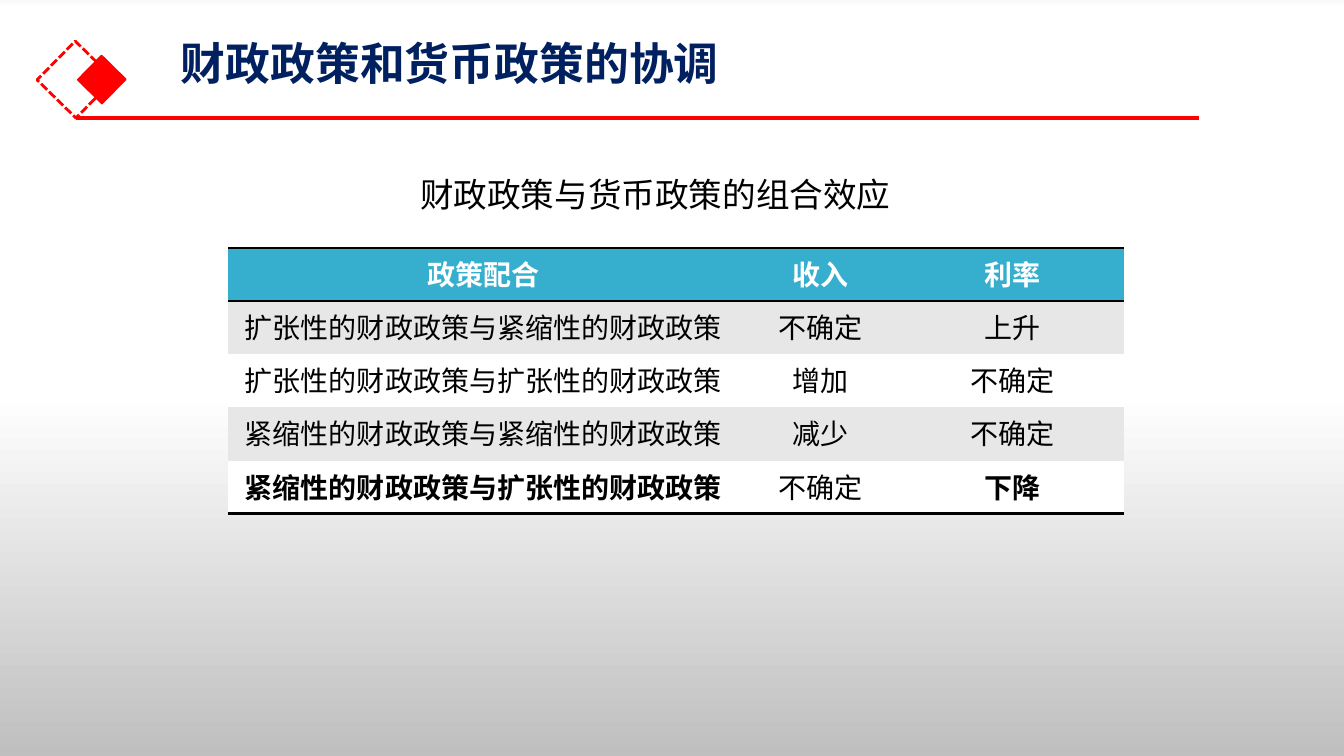
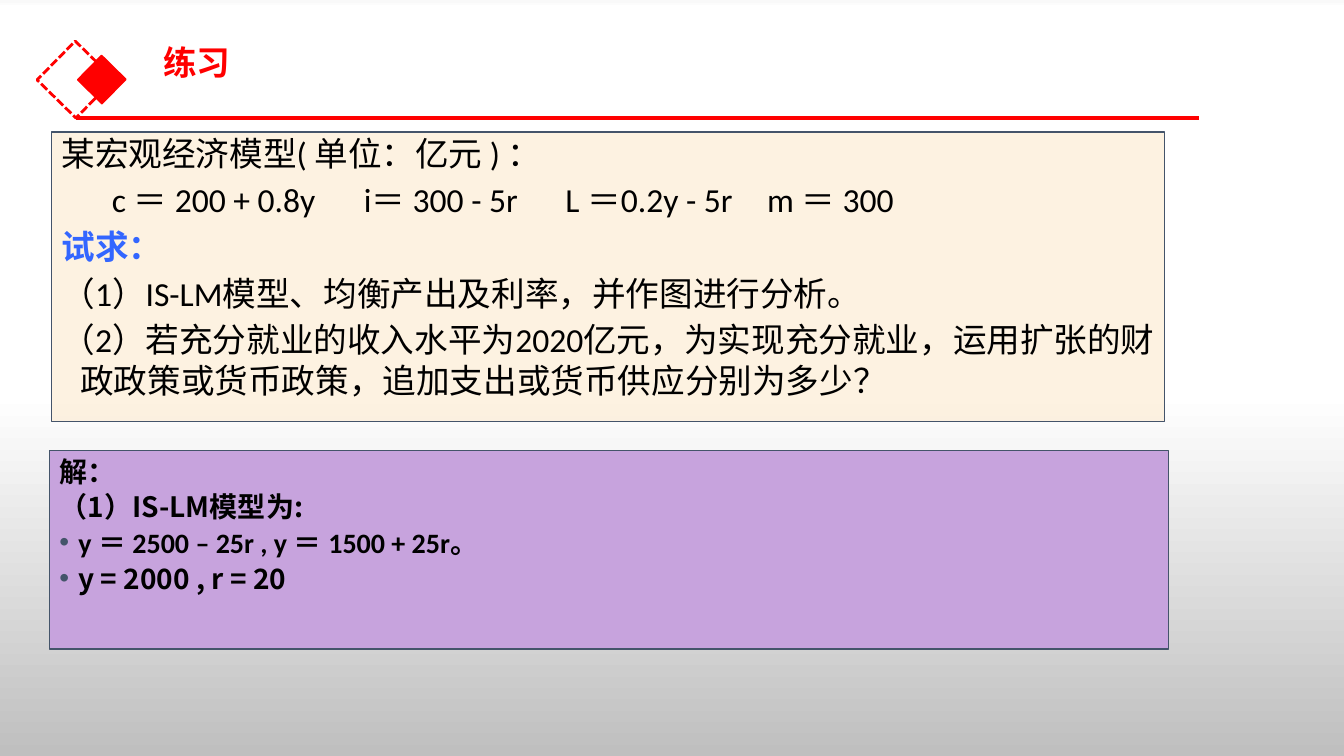
from lxml.etree import SubElement
from pptx import Presentation
from pptx.dml.color import RGBColor
from pptx.enum.dml import MSO_LINE
from pptx.enum.shapes import MSO_CONNECTOR, MSO_SHAPE
from pptx.enum.text import MSO_ANCHOR, MSO_AUTO_SIZE, PP_ALIGN
from pptx.oxml import parse_xml
from pptx.oxml.ns import nsdecls, qn
from pptx.util import Pt

RED = RGBColor(0xFF, 0x00, 0x00)
NAVY = RGBColor(0x00, 0x20, 0x60)
BLUE = RGBColor(0x33, 0x66, 0xFF)
TEAL = RGBColor(0x36, 0xAF, 0xCE)
SLATE = RGBColor(0x44, 0x54, 0x6A)
CREAM = RGBColor(0xFC, 0xEB, 0xD1)
LILAC = RGBColor(0xC7, 0xA3, 0xDD)
GRAY = RGBColor(0xE7, 0xE7, 0xE7)
WHITE = RGBColor(0xFF, 0xFF, 0xFF)
BLACK = RGBColor(0x00, 0x00, 0x00)
BACKGROUND_STOPS = [(0, "F9F9F9"), (1, "FFFFFF"), (52, "FFFFFF"), (100, "BFBFBF")]
CJK_FONT = "Noto Sans CJK SC"
LATIN_FONT = "Calibri"


def format_runs(paragraph, size, color, bold=False, font=CJK_FONT):
    for run in paragraph.runs:
        run.font.size = Pt(size)
        run.font.bold = bold
        run.font.color.rgb = color
        run.font.name = font
        SubElement(run.font._element, qn("a:ea"), typeface=CJK_FONT)


def place(shape, left, top, width, height):
    shape.left, shape.top = Pt(left), Pt(top)
    shape.width, shape.height = Pt(width), Pt(height)
    shape.text_frame.word_wrap = True
    shape.text_frame.auto_size = MSO_AUTO_SIZE.NONE


presentation = Presentation()
presentation.slide_width = Pt(960)
presentation.slide_height = Pt(540)

master = presentation.slide_master
background = master.background.fill
background.gradient()
background.gradient_angle = 270
stop_list = master.element.find(".//" + qn("a:gsLst"))
for stop in list(stop_list):
    stop_list.remove(stop)
for position, color in BACKGROUND_STOPS:
    stop = SubElement(stop_list, qn("a:gs"), pos=str(position * 1000))
    SubElement(stop, qn("a:srgbClr"), val=color)

slides = []
for layout, text, size, color, left, top in [
    (5, "财政政策和货币政策的协调", 32, NAVY, 122, 24),
    (3, "练习", 24, RED, 109.5, 23),
]:
    slide = presentation.slides.add_slide(presentation.slide_layouts[layout])
    slides.append(slide)

    for x, y, side, width in [(34.6, 37.4, 38.9, 2), (60.5, 44.6, 24.5, 1)]:
        diamond = slide.shapes.add_shape(MSO_SHAPE.RECTANGLE, Pt(x), Pt(y), Pt(side), Pt(side))
        diamond.rotation = 314.5
        diamond.shadow.inherit = False
        diamond.line.color.rgb = RED
        diamond.line.width = Pt(width)
        if width == 2:
            diamond.fill.background()
            diamond.line.dash_style = MSO_LINE.SQUARE_DOT
        else:
            diamond.fill.solid()
            diamond.fill.fore_color.rgb = RED

    rule = slide.shapes.add_connector(MSO_CONNECTOR.STRAIGHT, Pt(54), Pt(84.3), Pt(856.4), Pt(84.3))
    rule.line.color.rgb = RED
    rule.line.width = Pt(2.25)
    SubElement(rule._element.spPr, qn("a:effectLst"))

    title = slide.shapes.title
    place(title, left, top, 828, 46)
    title.text_frame.text = text
    title.text_frame.vertical_anchor = MSO_ANCHOR.MIDDLE
    paragraph = title.text_frame.paragraphs[0]
    paragraph.alignment = PP_ALIGN.LEFT
    paragraph.line_spacing = 0.9
    format_runs(paragraph, size, color, True)

policy_slide, exercise_slide = slides

caption = policy_slide.shapes.add_textbox(0, 0, 0, 0)
place(caption, 293, 121, 355, 36)
caption.text_frame.text = "财政政策与货币政策的组合效应"
format_runs(caption.text_frame.paragraphs[0], 24, BLACK)

POLICY_ROWS = [
    ("政策配合", "收入", "利率"),
    ("扩张性的财政政策与紧缩性的财政政策", "不确定", "上升"),
    ("扩张性的财政政策与扩张性的财政政策", "增加", "不确定"),
    ("紧缩性的财政政策与紧缩性的财政政策", "减少", "不确定"),
    ("紧缩性的财政政策与扩张性的财政政策", "不确定", "下降"),
]
BOLD_CELLS = {(0, 0), (0, 1), (0, 2), (4, 0), (4, 2)}
BORDERS = {0: ["lnT", "lnB"], 4: ["lnB"]}

table = policy_slide.shapes.add_table(5, 3, Pt(162.7), Pt(177), Pt(640), Pt(190)).table
table._tbl.tblPr.find(qn("a:tableStyleId")).text = "{2D5ABB26-0587-4C30-8999-92F81FD0307C}"
for column, width in zip(table.columns, (365, 116.6, 158.4)):
    column.width = Pt(width)
for row_index, row in enumerate(POLICY_ROWS):
    table.rows[row_index].height = Pt(38)
    for column_index, text in enumerate(row):
        cell = table.cell(row_index, column_index)
        cell.text_frame.text = text
        paragraph = cell.text_frame.paragraphs[0]
        paragraph.alignment = PP_ALIGN.CENTER
        format_runs(paragraph, 20, BLACK if row_index else WHITE,
                    (row_index, column_index) in BOLD_CELLS, LATIN_FONT)
        cell.fill.solid()
        cell.fill.fore_color.rgb = TEAL if row_index == 0 else GRAY if row_index % 2 else WHITE
        for index, edge in enumerate(BORDERS.get(row_index, [])):
            border = parse_xml(
                f'<a:{edge} {nsdecls("a")} w="25400"><a:solidFill>'
                f'<a:srgbClr val="{BLACK}"/></a:solidFill></a:{edge}>')
            cell._tc.get_or_add_tcPr().insert(index, border)

PROBLEM = [
    ("某宏观经济模型( 单位：亿元 ) ：", BLACK, False, LATIN_FONT, False),
    ("\tc ＝ 200 + 0.8y\ti＝ 300 - 5r\tL ＝0.2y - 5r\tm ＝ 300", BLACK, False, LATIN_FONT, False),
    ("试求：", BLUE, True, LATIN_FONT, False),
    ("（1）IS-LM模型、均衡产出及利率，并作图进行分析。", BLACK, False, LATIN_FONT, False),
    ("（2）若充分就业的收入水平为2020亿元，为实现充分就业，运用扩张的"
     "财政政策或货币政策，追加支出或货币供应分别为多少？", BLACK, False, LATIN_FONT, False),
]
SOLUTION = [
    ("解：", BLACK, True, CJK_FONT, False),
    ("（1）IS-LM模型为:", BLACK, True, CJK_FONT, False),
    ("y ＝ 2500 – 25r , y ＝ 1500 + 25r。", BLACK, True, LATIN_FONT, True),
    ("y = 2000 , r = 20", BLACK, True, CJK_FONT, True),
]
EQUATION_TABS = (11.5, 201, 355.5, 513)

for index, bounds, fill, lines, size, pitch, gap, margin in [
    (1, (36.7, 94.3, 795, 206.6), CREAM, PROBLEM, 24, 29.3, 4, 0),
    (2, (35.3, 321.8, 799.2, 141.8), LILAC, SOLUTION, 20, 22, 3.5, 4.5),
]:
    box = exercise_slide.placeholders[index]
    place(box, *bounds)
    box.fill.solid()
    box.fill.fore_color.rgb = fill
    if fill == CREAM:
        SubElement(box._element.spPr.find(".//" + qn("a:srgbClr")), qn("a:alpha"), val="64000")
    box.line.color.rgb = SLATE
    box.line.width = Pt(1)
    frame = box.text_frame
    frame.margin_top = Pt(margin)
    frame.margin_right = Pt(5)
    frame.text = "\n".join(line[0] for line in lines)
    for number, (paragraph, line) in enumerate(zip(frame.paragraphs, lines)):
        text, color, bold, font, bulleted = line
        paragraph.line_spacing = Pt(pitch)
        paragraph.space_before = Pt(gap if number else 0)
        format_runs(paragraph, size, color, bold, font)
        properties = paragraph._p.get_or_add_pPr()
        hanging = 0 if "\t" in text else Pt(13.5)
        properties.set("marL", str(hanging))
        properties.set("indent", str(-hanging))
        if bulleted:
            bullet_color = SubElement(properties, qn("a:buClr"))
            SubElement(bullet_color, qn("a:srgbClr"), val=str(SLATE))
            SubElement(properties, qn("a:buChar"), char="•")
        else:
            SubElement(properties, qn("a:buNone"))
        if "\t" in text:
            tab_list = SubElement(properties, qn("a:tabLst"))
            for tab in EQUATION_TABS:
                SubElement(tab_list, qn("a:tab"), pos=str(Pt(tab)), algn="l")

presentation.save("out.pptx")
